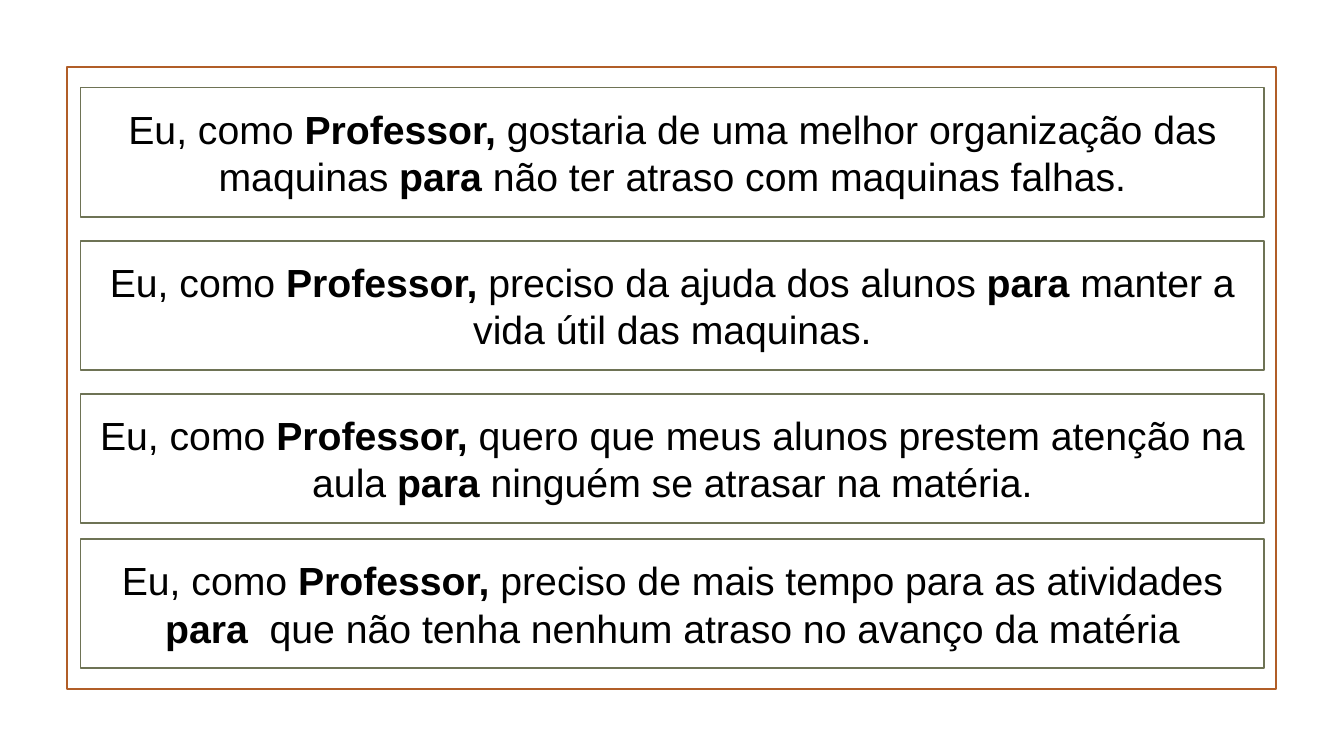
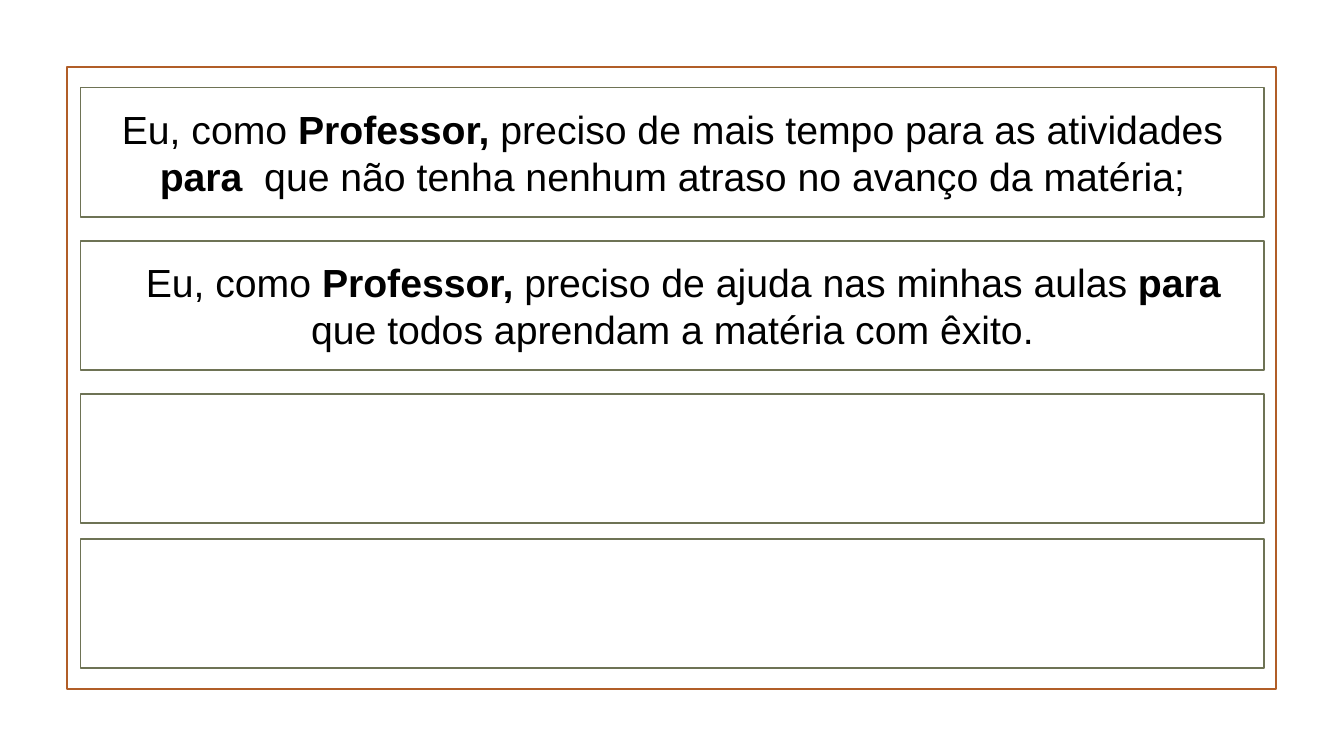
from pptx import Presentation
from pptx.dml.color import RGBColor
from pptx.enum.shapes import MSO_SHAPE
from pptx.enum.text import MSO_ANCHOR, PP_ALIGN
from pptx.util import Pt

BLACK = RGBColor(0x00, 0x00, 0x00)
WHITE = RGBColor(0xFF, 0xFF, 0xFF)
ORANGE = RGBColor(0xB1, 0x5E, 0x28)
OLIVE = RGBColor(0x6E, 0x73, 0x55)

# Shared geometry, in points
CARD_LEFT, CARD_WIDTH, CARD_HEIGHT = 57.6, 845.3, 92.2
CARD_TOPS = [62.6, 172.1, 281.5, 385.2]

# User stories: runs alternate between regular and bold; (runs, first-line indent)
STORIES = [
    [
        (["Eu, como ", "Professor, ", "gostaria de uma melhor organização das maquinas ",
          "para", " não ter atraso com maquinas falhas."], 0),
        (["Eu, como ", "Professor, ", "preciso da ajuda dos alunos ",
          "para", " manter a vida útil das maquinas."], 0),
        (["Eu, como ", "Professor,", " quero que meus alunos prestem atenção na aula ",
          "para", " ninguém se atrasar na matéria."], 0),
        (["Eu, como ", "Professor, ", "preciso de mais tempo para as atividades ",
          "para ", " que não tenha nenhum atraso no avanço da matéria"], 0),
    ],
    [
        (["Eu, como ", "Professor, ", "preciso de mais tempo para as atividades ",
          "para ", " que não tenha nenhum atraso no avanço da matéria;"], 0),
        (["Eu, como ", "Professor, ", "preciso de ajuda nas minhas aulas ",
          "para", " que todos aprendam a matéria com êxito."], 15.6),
        ([], 0),
        ([], 0),
    ],
]


def add_box(slide, left, top, width, height, line_color, fill_color=None):
    shape = slide.shapes.add_shape(
        MSO_SHAPE.RECTANGLE, Pt(left), Pt(top), Pt(width), Pt(height))
    shape.shadow.inherit = False
    if fill_color is None:
        shape.fill.background()
    else:
        shape.fill.solid()
        shape.fill.fore_color.rgb = fill_color
    shape.line.color.rgb = line_color
    shape.line.width = Pt(1.25)
    return shape


def write_text(shape, runs, size=28, font="Arial", color=BLACK, indent=0):
    frame = shape.text_frame
    frame.word_wrap = True
    frame.vertical_anchor = MSO_ANCHOR.MIDDLE
    paragraph = frame.paragraphs[0]
    paragraph.alignment = PP_ALIGN.CENTER
    if indent:
        paragraph._p.get_or_add_pPr().set("indent", str(Pt(indent)))
    for index, text in enumerate(runs):
        run = paragraph.add_run()
        run.text = text
        run.font.name = font
        run.font.size = Pt(size)
        run.font.bold = index % 2 == 1
        run.font.color.rgb = color


presentation = Presentation()
presentation.slide_width = Pt(960)
presentation.slide_height = Pt(540)

for slide_stories in STORIES:
    slide = presentation.slides.add_slide(presentation.slide_layouts[6])

    # Outer frame
    add_box(slide, 47.7, 48, 864, 444, ORANGE)

    # Story cards
    for top, (runs, indent) in zip(CARD_TOPS, slide_stories):
        card = add_box(slide, CARD_LEFT, top, CARD_WIDTH, CARD_HEIGHT, OLIVE, WHITE)
        if runs:
            write_text(card, runs, indent=indent)

presentation.save("out.pptx")
